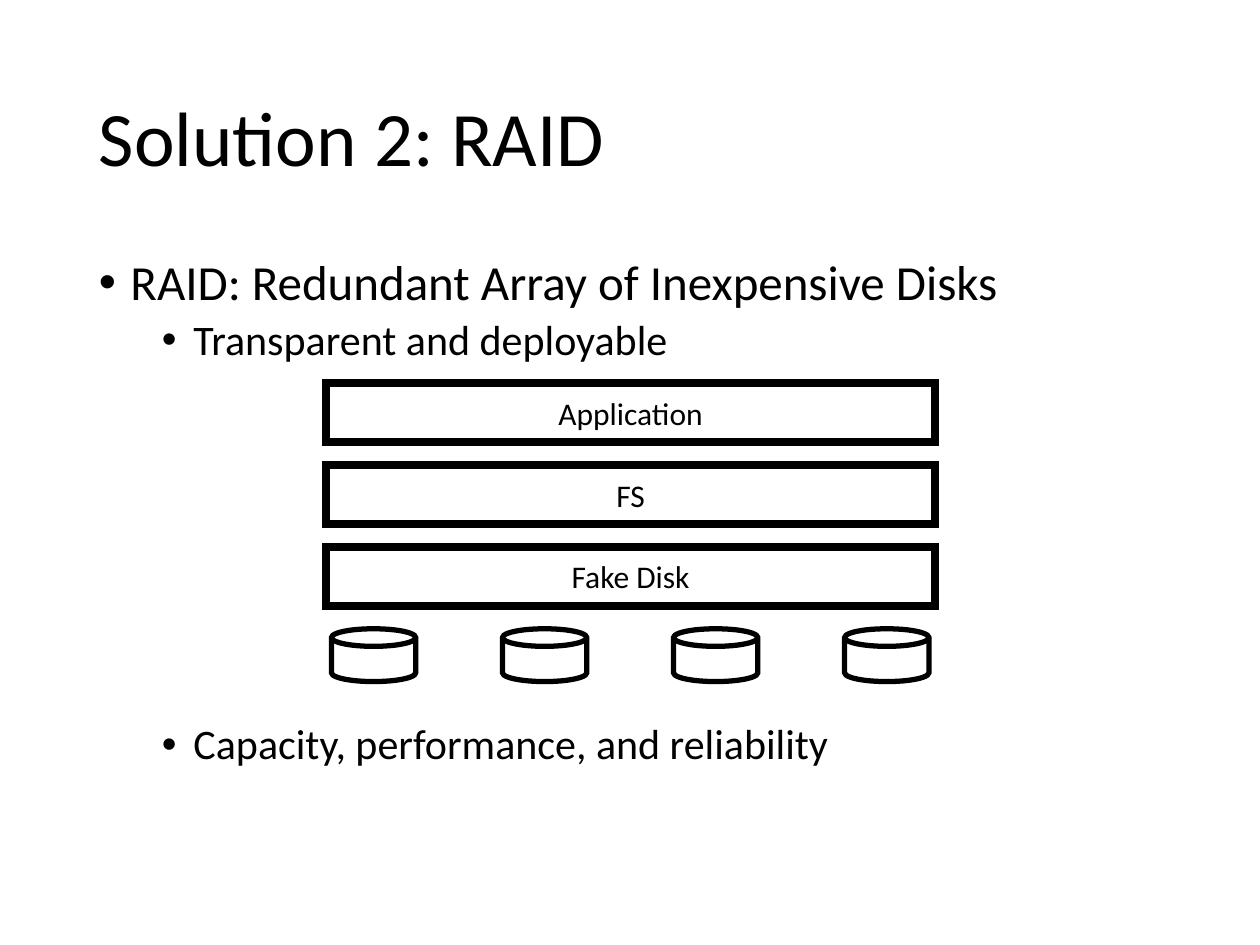
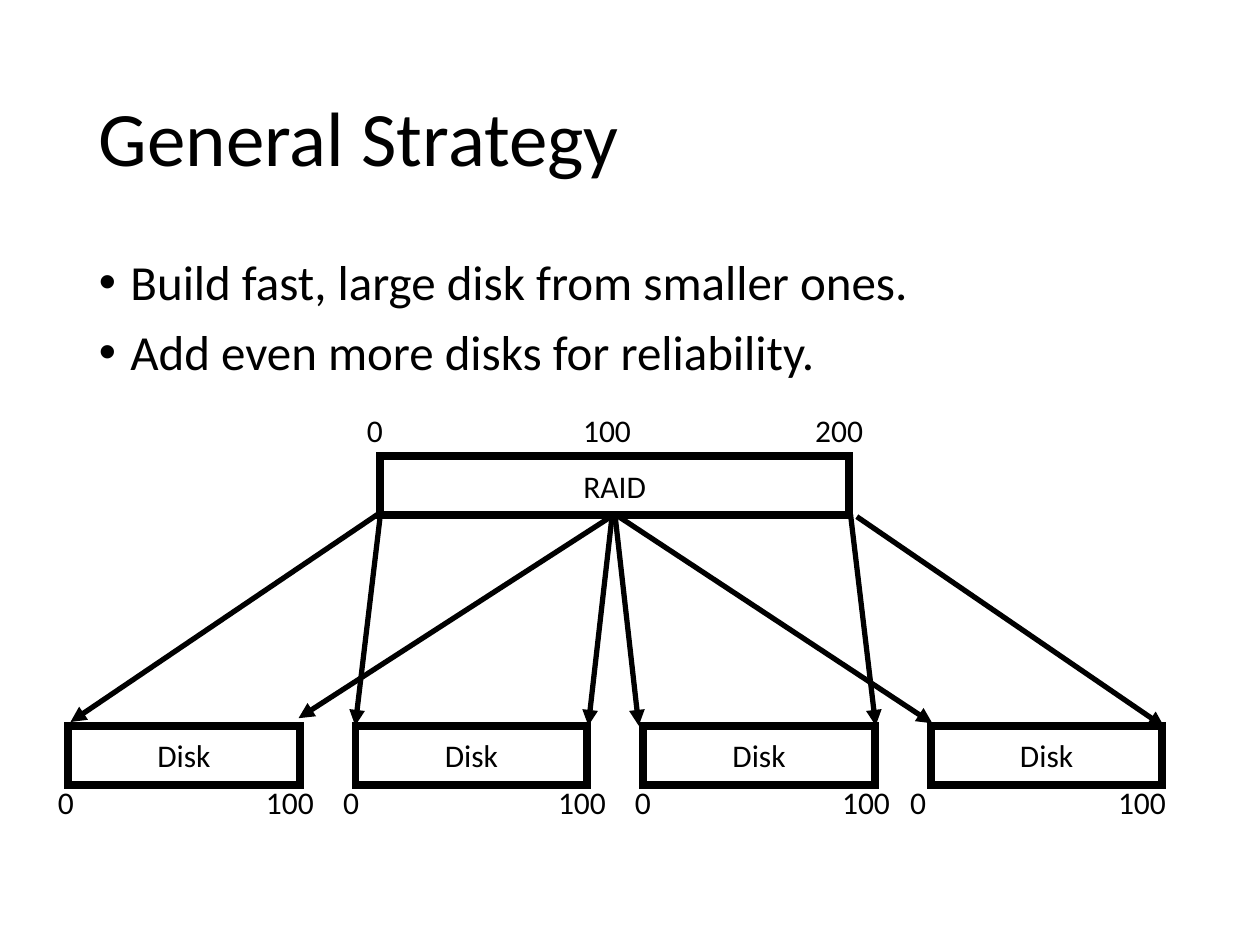
from dataclasses import dataclass
from lxml.etree import SubElement
from pptx import Presentation
from pptx.dml.color import RGBColor
from pptx.enum.shapes import MSO_CONNECTOR, MSO_SHAPE
from pptx.enum.text import MSO_ANCHOR, PP_ALIGN
from pptx.oxml.ns import qn
from pptx.util import Pt


@dataclass(frozen=True)
class Theme:
    ink: RGBColor = RGBColor(0, 0, 0)
    font: str = "Calibri"
    title: int = 44
    levels: tuple = (28, 24)
    label: int = 18
    box_line: float = 4.5
    thin_line: float = 3


theme = Theme()


def write(shape, lines, size, align=PP_ALIGN.LEFT, anchor=MSO_ANCHOR.TOP):
    text_frame = shape.text_frame
    text_frame.word_wrap = True
    text_frame.vertical_anchor = anchor
    text_frame.text = "\n".join(lines)
    for paragraph in text_frame.paragraphs:
        paragraph.alignment = align
        font = paragraph.runs[0].font
        font.name, font.size, font.color.rgb = theme.font, Pt(size), theme.ink
    return text_frame


def add_outline(slide, kind, left, top, width, height, weight):
    shape = slide.shapes.add_shape(kind, Pt(left), Pt(top), Pt(width), Pt(height))
    shape.shadow.inherit = False
    shape.fill.background()
    shape.line.color.rgb = theme.ink
    shape.line.width = Pt(weight)
    SubElement(shape.element.spPr.find(qn("a:ln")), qn("a:miter"), lim="800000")
    return shape


presentation = Presentation()
presentation.slide_width, presentation.slide_height = Pt(720), Pt(540)

content = [
    ("Solution 2: RAID", [
        (0, 10, "RAID: Redundant Array of Inexpensive Disks"),
        (1, 5, "Transparent and deployable"),
        (1, 205, "Capacity, performance, and reliability"),
    ]),
    ("General Strategy", [
        (0, 10, "Build fast, large disk from smaller ones."),
        (0, 10, "Add even more disks for reliability."),
    ]),
]
for title, bullets in content:
    slide = presentation.slides.add_slide(presentation.slide_layouts[6])
    title_box = slide.shapes.add_textbox(Pt(49.5), Pt(28.75), Pt(621), Pt(104.4))
    title_frame = write(title_box, [title], theme.title, anchor=MSO_ANCHOR.MIDDLE)
    title_frame.paragraphs[0].line_spacing = 0.9

    body_box = slide.shapes.add_textbox(Pt(49.5), Pt(143.75), Pt(621), Pt(342.6))
    body_frame = write(body_box, [text for _, _, text in bullets], theme.levels[0])
    for paragraph, (level, space, _) in zip(body_frame.paragraphs, bullets):
        paragraph.level = level
        paragraph.line_spacing = 0.9
        paragraph.space_before = Pt(space)
        paragraph.runs[0].font.size = Pt(theme.levels[level])
        properties = paragraph._p.get_or_add_pPr()
        properties.set("marL", str(Pt(18 + 36 * level)))
        properties.set("indent", str(-Pt(18)))
        SubElement(properties, qn("a:buFont"), typeface="Arial")
        SubElement(properties, qn("a:buChar"), char="•")

stack_slide, strategy_slide = presentation.slides

box_height = 33.8
raid_top, disk_top = 260.6, 414.7
boxes = [(stack_slide, 186.5, 218.9 + 46.8 * row, 347.8, name)
         for row, name in enumerate(["Application", "FS", "Fake Disk"])]
boxes.append((strategy_slide, 217.4, raid_top, 267.8, "RAID"))
boxes += [(strategy_slide, 38.9 + 164.3 * column, disk_top, 132.5, "Disk")
          for column in range(4)]
for slide, left, top, width, name in boxes:
    box = add_outline(slide, MSO_SHAPE.RECTANGLE, left, top, width, box_height,
                      theme.box_line)
    write(box, [name], theme.label, PP_ALIGN.CENTER, MSO_ANCHOR.MIDDLE)

for column in range(4):
    add_outline(stack_slide, MSO_SHAPE.FLOWCHART_MAGNETIC_DISK,
                189.4 + 97.75 * column, 359.3, 48.2, 30.2, theme.thin_line)

label_rows = [
    (231.1, [("0", 214.3), ("100", 346.9), ("200", 479.5)]),
    (444.2, [("0", 37.7), ("100", 165.7), ("0", 200.6), ("100", 332.6),
             ("0", 367.4), ("100", 494.9), ("0", 524.6), ("100", 652.6)]),
]
label_width = 44
for top, labels in label_rows:
    for text, center in labels:
        label = strategy_slide.shapes.add_textbox(
            Pt(center - label_width / 2), Pt(top), Pt(label_width), Pt(28.8))
        label_frame = write(label, [text], theme.label, PP_ALIGN.CENTER)
        label_frame.margin_left = label_frame.margin_right = 0

arrows = [
    (217.4, 293.8, 203, disk_top), (349.9, 293.8, 336.2, disk_top),
    (351.4, 293.8, 365, disk_top), (486, 293.8, 500.4, disk_top),
    (216, 293.8, 40.3, 412.6), (351.4, 293.8, 170.6, 410.4),
    (351.4, 293.8, 532.8, 413.3), (489.6, 295.2, 665.3, 415.4),
]
for ends in arrows:
    arrow = strategy_slide.shapes.add_connector(
        MSO_CONNECTOR.STRAIGHT, *[Pt(value) for value in ends])
    arrow.line.color.rgb = theme.ink
    arrow.line.width = Pt(theme.thin_line)
    properties = arrow.element.spPr
    SubElement(properties.find(qn("a:ln")), qn("a:tailEnd"), type="triangle")
    SubElement(properties, qn("a:effectLst"))

presentation.save("out.pptx")
